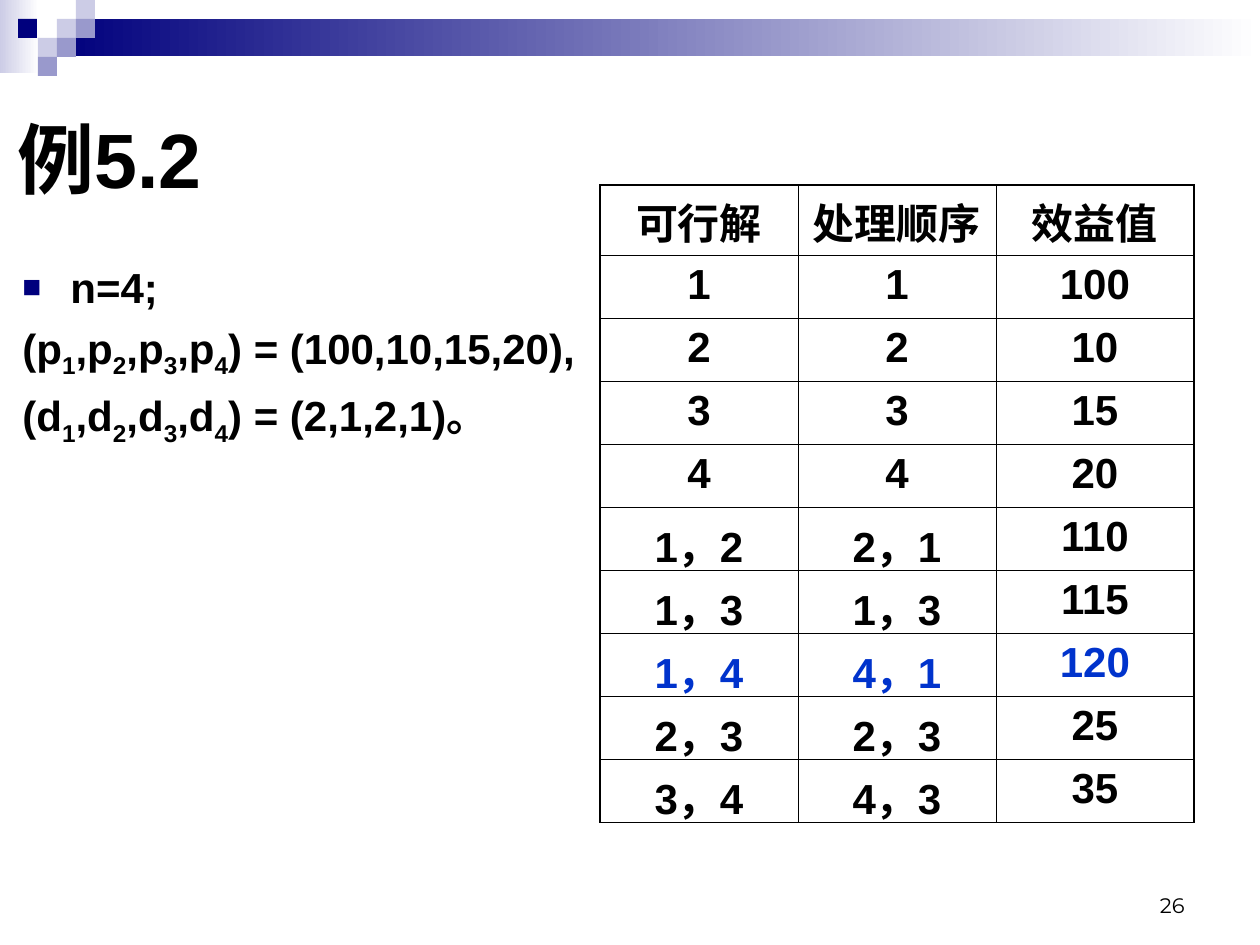
from itertools import chain
from typing import NamedTuple

from lxml.etree import SubElement
from pptx import Presentation
from pptx.dml.color import RGBColor
from pptx.enum.shapes import MSO_SHAPE
from pptx.enum.text import MSO_ANCHOR, PP_ALIGN
from pptx.oxml.ns import qn
from pptx.util import Emu, Pt

PX = 914400 / 126
BLACK, NAVY, LILAC, PALE, WHITE, BLUE = (
    "000000", "00007D", "9999CC", "CCCCE6", "FFFFFF", "0033CC")
THICK, THIN = 1.08, 0.45


class Box(NamedTuple):
    left: int
    top: int
    width: int
    height: int


class Block(NamedTuple):
    box: Box
    color: str
    fade_to: str = ""


TILE = 19
BANDS = [
    Block(Box(0, 0, 39, 73), PALE, WHITE),
    Block(Box(57, 19, 1203, 37), NAVY, WHITE),
]
TILES = [
    Block(Box(left, row * TILE, TILE, TILE), color)
    for left, row, color in [
        (57, 1, PALE), (76, 0, PALE), (76, 1, LILAC), (38, 2, PALE),
        (18, 1, NAVY), (57, 2, LILAC), (38, 3, LILAC)]
]

# Feasible solution, processing order, benefit
HEADER = ("可行解", "处理顺序", "效益值")
SOLUTIONS = [
    ("1", "1", "100"), ("2", "2", "10"), ("3", "3", "15"), ("4", "4", "20"),
    ("1，2", "2，1", "110"), ("1，3", "1，3", "115"), ("1，4", "4，1", "120"),
    ("2，3", "2，3", "25"), ("3，4", "4，3", "35"),
]
BEST = ("1，4", "4，1", "120")


def px(length: int) -> Emu:
    return Emu(round(length * PX))


def place(box: Box) -> list[Emu]:
    return [px(length) for length in box]


def rgb(color: str) -> RGBColor:
    return RGBColor.from_string(color)


def set_font(paragraph, size: int, color: str = BLACK, bold: bool = True,
             name: str = "Arial") -> None:
    font = paragraph.font
    font.name, font.size, font.bold = name, Pt(size), bold
    font.color.rgb = rgb(color)


def add_block(slide, block: Block) -> None:
    shape = slide.shapes.add_shape(MSO_SHAPE.RECTANGLE, *place(block.box))
    shape.shadow.inherit = False
    shape.line.fill.background()
    if block.fade_to:
        shape.fill.gradient()
        shape.fill.gradient_angle = 0
        for stop, color in zip(shape.fill.gradient_stops, (block.color, block.fade_to)):
            stop.color.rgb = rgb(color)
    else:
        shape.fill.solid()
        shape.fill.fore_color.rgb = rgb(block.color)


def add_text_frame(slide, box: Box, anchor: MSO_ANCHOR):
    frame = slide.shapes.add_textbox(*place(box)).text_frame
    frame.word_wrap = True
    frame.vertical_anchor = anchor
    return frame


def add_bullet(paragraph) -> None:
    properties = paragraph._p.get_or_add_pPr()
    SubElement(SubElement(properties, qn("a:buClr")), qn("a:srgbClr"), val=NAVY)
    SubElement(properties, qn("a:buSzPct"), val="75000")
    SubElement(properties, qn("a:buFont"), typeface="Arial")
    SubElement(properties, qn("a:buChar"), char="■")


def add_vector(paragraph, letter: str, values: str) -> None:
    """Write (x1,x2,x3,x4) with lowered indices, then its values."""
    indexed = chain.from_iterable(
        ((("(" if i == 1 else ",") + letter, False), (str(i), True))
        for i in range(1, 5))
    for text, lowered in chain(indexed, [(f") = {values}", False)]):
        run = paragraph.add_run()
        run.text = text
        if lowered:
            run._r.get_or_add_rPr().set("baseline", "-25000")


def set_borders(cell, widths: dict[str, float]) -> None:
    properties = cell._tc.get_or_add_tcPr()
    for position, (side, width) in enumerate(widths.items()):
        line = SubElement(properties, qn(f"a:ln{side}"), w=str(Pt(width)))
        SubElement(SubElement(line, qn("a:solidFill")), qn("a:srgbClr"), val=BLACK)
        properties.insert(position, line)


def add_solution_table(slide, box: Box) -> None:
    rows = [HEADER, *SOLUTIONS]
    last_row, last_column = len(rows) - 1, len(HEADER) - 1
    table = slide.shapes.add_table(len(rows), len(HEADER), *place(box)).table
    table.first_row = table.horz_banding = False
    for column in table.columns:
        column.width = px(box.width // len(HEADER))
    for r, texts in enumerate(rows):
        table.rows[r].height = px(70 if r == 0 else 63)
        for c, text in enumerate(texts):
            cell = table.cell(r, c)
            cell.fill.background()
            cell.text = text
            paragraph = cell.text_frame.paragraphs[0]
            paragraph.alignment = PP_ALIGN.CENTER
            set_font(paragraph, 24, BLUE if texts == BEST else BLACK)
            set_borders(cell, {
                "L": THICK if c == 0 else THIN,
                "R": THICK if c == last_column else THIN,
                "T": THICK if r == 0 else THIN,
                "B": THICK if r == last_row else THIN,
            })


def main() -> None:
    presentation = Presentation()
    presentation.slide_width, presentation.slide_height = px(1260), px(945)
    slide = presentation.slides.add_slide(presentation.slide_layouts[6])

    # Header decoration
    for block in BANDS + TILES:
        add_block(slide, block)

    # Page number
    page_number = add_text_frame(slide, Box(903, 861, 294, 63), MSO_ANCHOR.BOTTOM).paragraphs[0]
    page_number.text = "26"
    page_number.alignment = PP_ALIGN.RIGHT
    set_font(page_number, 12, bold=False, name="Montserrat")

    # Title
    title = add_text_frame(slide, Box(5, 63, 576, 189), MSO_ANCHOR.MIDDLE).paragraphs[0]
    title.text = "例5.2"
    set_font(title, 44)

    # Problem data
    problem = add_text_frame(slide, Box(10, 255, 600, 238), MSO_ANCHOR.TOP)
    count = problem.paragraphs[0]
    count.text = "n=4;"
    add_bullet(count)
    profits, deadlines = problem.add_paragraph(), problem.add_paragraph()
    add_vector(profits, "p", "(100,10,15,20),")
    add_vector(deadlines, "d", "(2,1,2,1)。")
    for paragraph in problem.paragraphs:
        properties = paragraph._p.get_or_add_pPr()
        properties.set("marL", str(px(48)))
        properties.set("indent", str(px(-48)))
        set_font(paragraph, 24)
    for paragraph in (profits, deadlines):
        paragraph.space_before = Pt(6)

    # Feasible solutions
    add_solution_table(slide, Box(600, 185, 594, 637))

    presentation.save("out.pptx")


if __name__ == "__main__":
    main()
